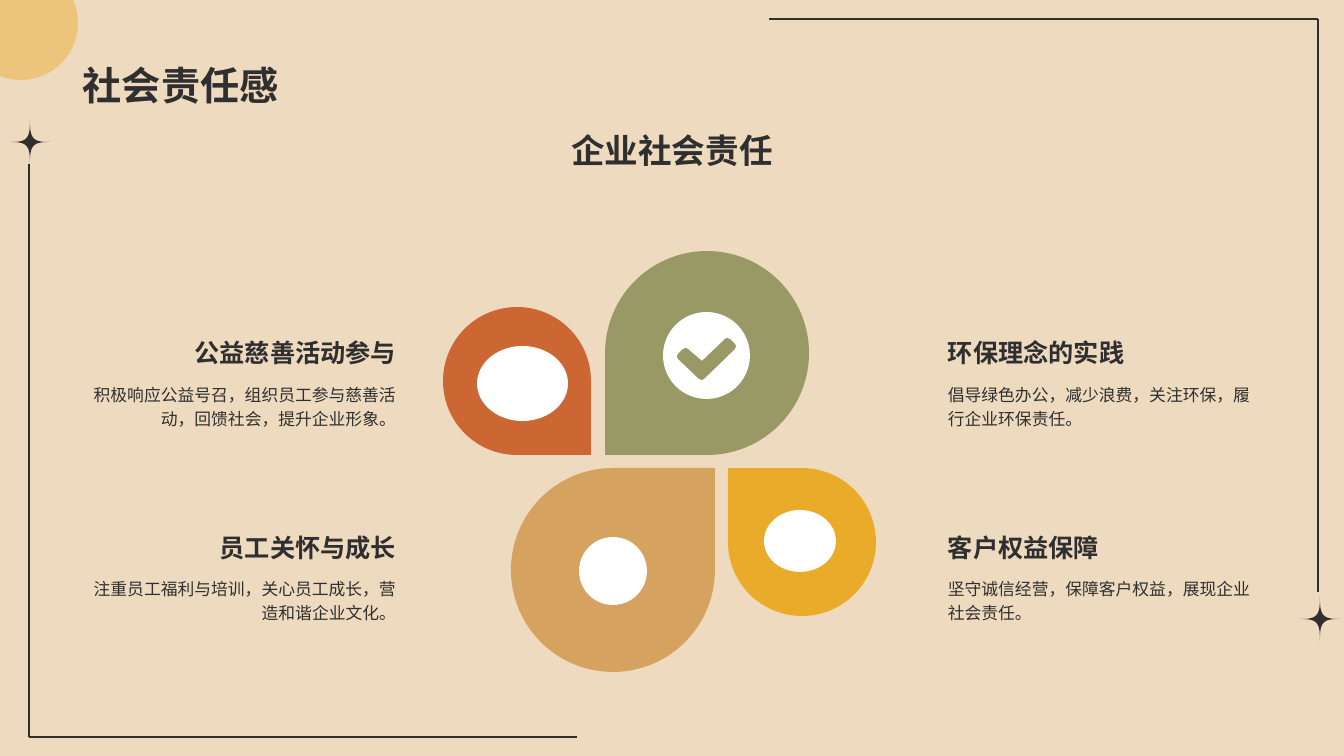
from math import acos, asin, cos, copysign, pi, sin

from lxml import etree
from pptx import Presentation
from pptx.dml.color import RGBColor
from pptx.enum.shapes import MSO_CONNECTOR, MSO_SHAPE
from pptx.enum.text import MSO_ANCHOR, PP_ALIGN
from pptx.oxml.ns import qn
from pptx.util import Pt

PX = 914400 / 100.8
TEARDROP, OVAL = MSO_SHAPE.TEAR, MSO_SHAPE.OVAL
STRAIGHT = MSO_CONNECTOR.STRAIGHT
TOP, BOTTOM = MSO_ANCHOR.TOP, MSO_ANCHOR.BOTTOM
LEFT, CENTER, RIGHT = PP_ALIGN.LEFT, PP_ALIGN.CENTER, PP_ALIGN.RIGHT
COLORS = {
    name: RGBColor.from_string(value)
    for name, value in {
        "sand": "EEDABF", "ink": "2F2F2F", "white": "FFFFFF", "rust": "CC6633",
        "olive": "999966", "tan": "D5A260", "gold": "EBAB2A",
    }.items()
}

prs = Presentation()
prs.slide_width, prs.slide_height = round(1344 * PX), round(756 * PX)
s = prs.slides.add_slide(prs.slide_layouts[6])
s.background.fill.solid()
s.background.fill.fore_color.rgb = COLORS["sand"]


def add_filled(color, box=None, kind=OVAL, points=None):
    """Add a preset shape in a box, or a closed outline through points."""
    if points:
        emu = [(round(x * PX), round(y * PX)) for x, y in points]
        builder = s.shapes.build_freeform(*emu[0], scale=1.0)
        builder.add_line_segments(emu[1:], close=True)
        sp = builder.convert_to_shape()
    else:
        sp = s.shapes.add_shape(kind, *[round(v * PX) for v in box])
    sp.shadow.inherit = False
    sp.fill.solid()
    sp.fill.fore_color.rgb = COLORS[color]
    sp.line.fill.background()
    return sp


def add_text(text, box, size, bold=True, align=LEFT, anchor=TOP, spacing=None):
    tf = s.shapes.add_textbox(*[round(v * PX) for v in box]).text_frame
    tf.word_wrap = True
    tf.vertical_anchor = anchor
    p = tf.paragraphs[0]
    p.text = text
    p.alignment = align
    p.line_spacing = spacing
    p.font.name = "Arial"
    p.font.size = Pt(size)
    p.font.bold = bold
    p.font.color.rgb = COLORS["ink"]


# Frame lines
for x1, y1, x2, y2 in [
    (29, 737, 29, 164), (29, 737, 577, 737),
    (1318, 19, 1318, 592), (1318, 19, 769, 19),
]:
    line = s.shapes.add_connector(STRAIGHT, *[round(v * PX) for v in (x1, y1, x2, y2)])
    line.line.color.rgb = COLORS["ink"]
    line.line.width = Pt(1)
    etree.SubElement(line._element.spPr, qn("a:effectLst"))

# Sparkles at the ends of the frame
for cx, cy in [(30, 142), (1320, 619)]:
    angles = [2 * pi * i / 80 for i in range(80)]
    add_filled("ink", points=[
        (cx + 20 * copysign(abs(cos(a)) ** 5, cos(a)),
         cy + 22 * copysign(abs(sin(a)) ** 5, sin(a)))
        for a in angles
    ])

# Corner disc, cut by the slide edges
cx, cy, radius = 21, 23, 57
start, end = asin(-cy / radius), acos(-cx / radius)
arc = [start + (end - start) * i / 60 for i in range(61)]
disc = add_filled("gold", points=[(0, 0)] + [
    (cx + radius * cos(a), cy + radius * sin(a)) for a in arc
])
tint = disc._element.spPr.find(qn("a:solidFill"))[0]
etree.SubElement(tint, qn("a:alpha"), val="45000")

# Titles
add_text("社会责任感", (73, 14, 1198, 99), 28, anchor=BOTTOM)
add_text("企业社会责任", (73, 125, 1198, 120), 24, align=CENTER)

# Petals, each turned to point at the middle, with a white icon
for color, x, y, size, angle, icon in [
    ("rust", 443, 307, 148, 90, (477, 346, 91, 75)),
    ("olive", 605, 251, 204, 180, (663, 312, 87, 87)),
    ("tan", 511, 468, 204, 0, (579, 537, 68, 68)),
    ("gold", 728, 468, 148, 270, (764, 510, 72, 62)),
]:
    petal = add_filled(color, (x, y, size, size), TEARDROP)
    petal.rotation = angle
    add_filled("white", icon)

# Check mark
add_filled("olive", points=[
    (678, 359), (677, 356), (678, 354), (683, 349), (686, 348), (688, 349),
    (702, 361), (725, 339), (727, 338), (730, 339), (735, 344), (736, 346),
    (735, 349), (704, 379), (702, 380), (699, 379),
])

# Four topics in two columns
topics = [
    ("公益慈善活动参与", "积极响应公益号召，组织员工参与慈善活动，回馈社会，提升企业形象。"),
    ("环保理念的实践", "倡导绿色办公，减少浪费，关注环保，履行企业环保责任。"),
    ("员工关怀与成长", "注重员工福利与培训，关心员工成长，营造和谐企业文化。"),
    ("客户权益保障", "坚守诚信经营，保障客户权益，展现企业社会责任。"),
]
for i, (heading, body) in enumerate(topics):
    row, col = divmod(i, 2)
    x, y = (74, 938)[col], 304 + 194 * row
    align = (RIGHT, LEFT)[col]
    add_text(heading, (x, y, 332, 69), 18, align=align, anchor=BOTTOM)
    add_text(body, (x, y + 72, 332, 101), 12, bold=False, align=align, spacing=1.2)

prs.save("out.pptx")
